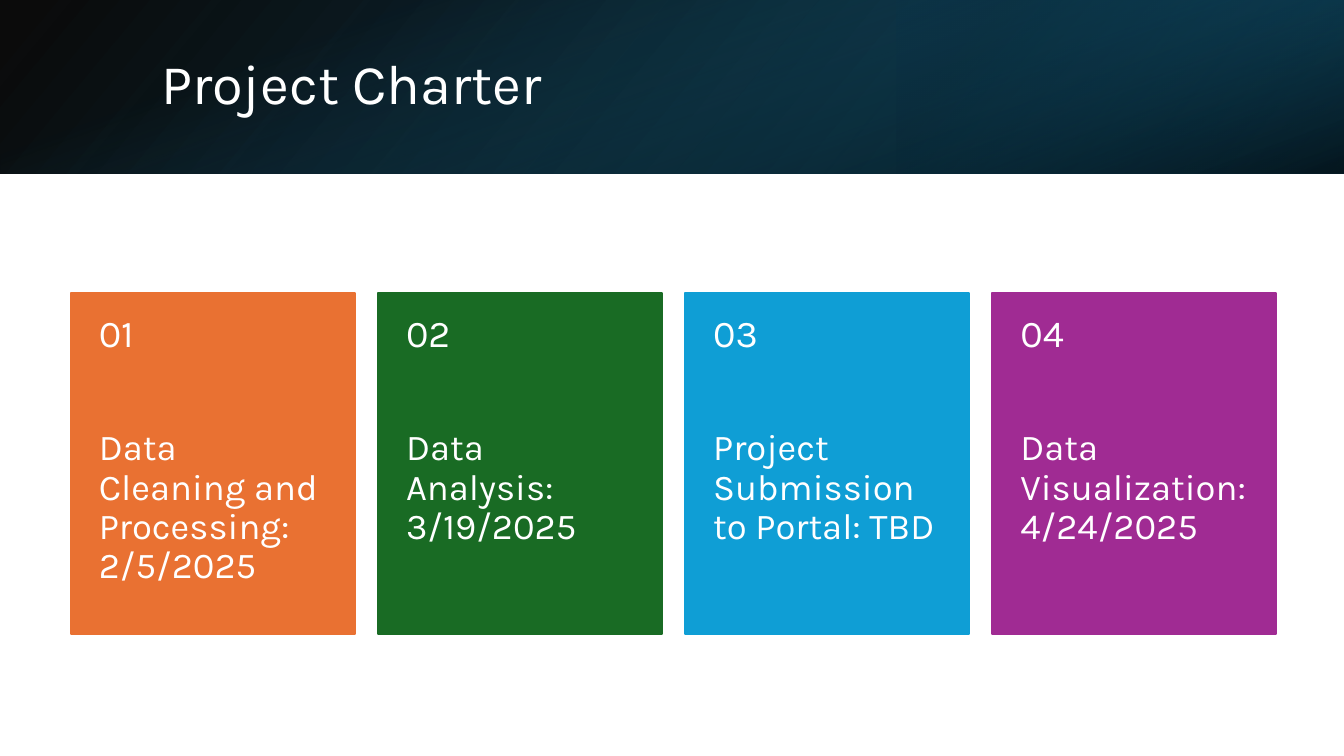
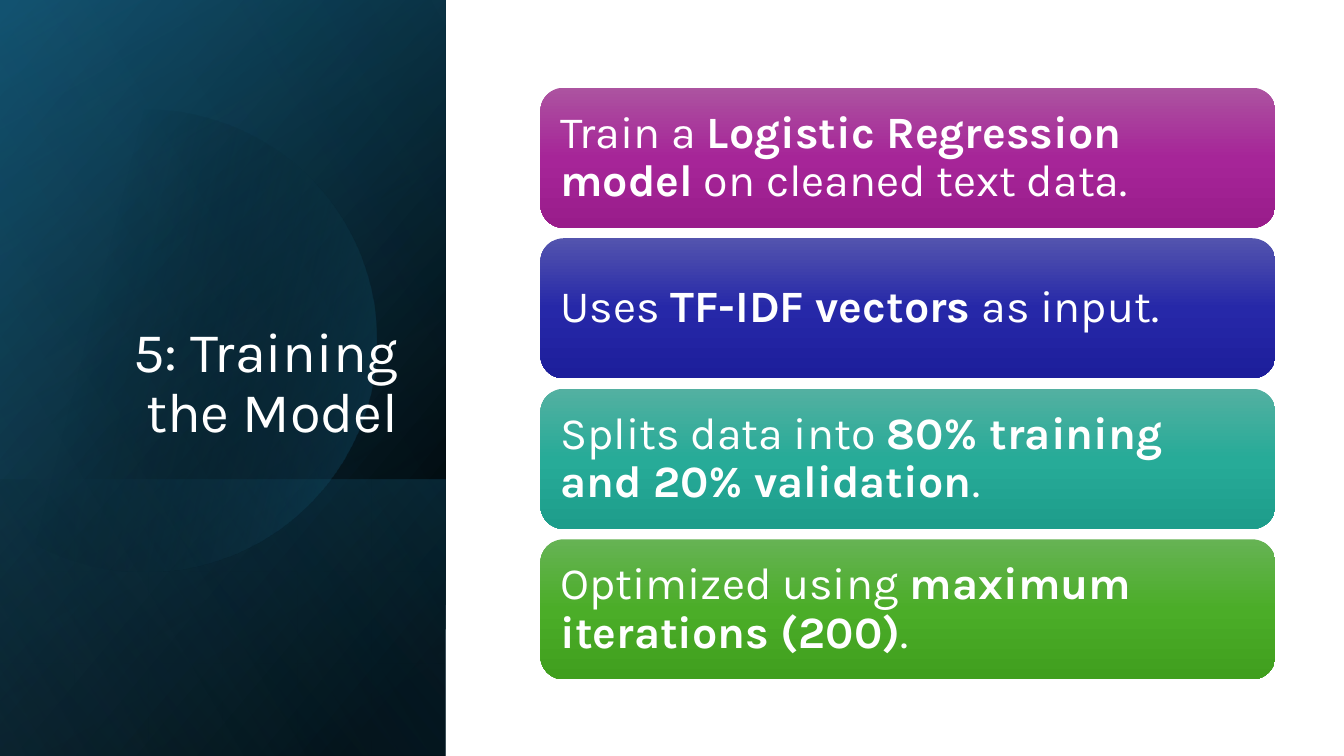
from math import acos, cos, sin

from pptx import Presentation
from pptx.dml.color import RGBColor
from pptx.enum.shapes import MSO_SHAPE
from pptx.enum.text import MSO_ANCHOR, PP_ALIGN
from pptx.oxml import parse_xml
from pptx.oxml.ns import nsdecls, qn
from pptx.util import Inches, Pt

RECT, ROUND = MSO_SHAPE.RECTANGLE, MSO_SHAPE.ROUNDED_RECTANGLE
TOP, MIDDLE, BOTTOM = MSO_ANCHOR.TOP, MSO_ANCHOR.MIDDLE, MSO_ANCHOR.BOTTOM
LEFT, RIGHT = PP_ALIGN.LEFT, PP_ALIGN.RIGHT

WIDE, HIGH = 13.33, 7.5
BAND = 1.72
SIDE = 4.42
FONT = "Karla"
COLORS = {
    "white": "FFFFFF", "black": "000000", "navy": "104862",
    "teal": "156082", "deep": "0B3041", "sky": "46B1E1",
    "orange": "E97132", "green": "196B24", "blue": "0F9ED5",
    "purple": "A02B93",
}
TITLE = {"size": Pt(40), "name": FONT}
LABEL = {"size": Pt(27), "name": FONT}
BODY = {"size": Pt(26), "name": FONT}
POINT = {"size": Pt(32), "name": FONT}

HEAD = [
    ((0, 0, WIDE, BAND), 0, True, 140,
     [(0, "black", 96), (100, "navy", 100)]),
    ((8.89, 0, 4.44, BAND), 180, True, 320,
     [(19, "deep", 68), (100, "teal", 79)]),
    ((0, 0, WIDE, BAND), 90, False, 340,
     [(23, "teal", 0), (99, "black", 74)]),
]
PANEL = (0, 0, SIDE, HIGH)
BACK = [
    (PANEL, 90, True, 50, [(8, "black", 100), (100, "navy", 100)]),
    (PANEL, 90, True, 30, [(0, "black", 0), (99, "teal", 46)]),
    ((0, 4.76, SIDE, 2.74), 90, True, 130,
     [(2, "teal", 29), (100, "black", 30)]),
]
GLOW = (PANEL, 90, True, 120, [(0, "black", 0), (99, "sky", 11)])

CARDS = [
    ("orange", "Data Cleaning and Processing: 2/5/2025"),
    ("green", "Data Analysis: 3/19/2025"),
    ("blue", "Project Submission to Portal: TBD"),
    ("purple", "Data Visualization: 4/24/2025"),
]
BARS = [
    (("AC53A0", "A62598", "991C8B"),
     ("Train a ", "Logistic Regression model", " on cleaned text data.")),
    (("5354AE", "2628A8", "1D1E9B"),
     ("Uses ", "TF-IDF vectors", " as input.")),
    (("53B0A1", "27AB98", "1D9D8B"),
     ("Splits data into ", "80% training and 20% validation", ".")),
    (("66B354", "4BAD28", "409F1E"),
     ("Optimized using ", "maximum iterations (200)", ".")),
]


def color(name):
    return RGBColor.from_string(COLORS[name])


def place(box):
    return [Inches(n) for n in box]


def blend(shape, stops, angle):
    marks = "".join(
        f'<a:gs pos="{pos * 1000}"><a:srgbClr val="{COLORS.get(tone, tone)}">'
        f'<a:alpha val="{alpha * 1000}"/></a:srgbClr></a:gs>'
        for pos, tone, alpha in stops)
    grad = parse_xml(
        f'<a:gradFill {nsdecls("a")} rotWithShape="1"><a:gsLst>{marks}</a:gsLst>'
        f'<a:lin ang="{angle * 60000}" scaled="0"/></a:gradFill>')
    shape.shadow.inherit = False
    shape.fill.background()
    props = shape.element.spPr
    props.replace(props.find(qn("a:noFill")), grad)
    shape.line.fill.background()


def add_layer(slide, box, turn, flip, angle, stops):
    left, top, width, height = box
    if turn == 90:
        left += (width - height) / 2
        top += (height - width) / 2
        width, height = height, width
    shape = slide.shapes.add_shape(RECT, *place((left, top, width, height)))
    shape.rotation = turn
    if flip:
        shape.element.spPr.xfrm.set("flipH", "1")
    blend(shape, stops, angle)


def add_disc(slide, mid_x, mid_y, radius, steps=90):
    edge = acos(-mid_x / radius)
    turns = [edge * (2 * i / steps - 1) for i in range(steps + 1)]
    dots = [(Inches(mid_x + radius * cos(t)), Inches(mid_y + radius * sin(t)))
            for t in turns]
    build = slide.shapes.build_freeform(*dots[0])
    build.add_line_segments(dots[1:], close=True)
    blend(build.convert_to_shape(), [(29, "black", 0), (100, "teal", 43)], 14)


def write(shape, runs, style, anchor=MIDDLE, align=LEFT,
          inset=(0.1, 0.05, 0.1, 0.05)):
    frame = shape.text_frame
    sides = zip(("left", "top", "right", "bottom"), inset)
    form = {f"margin_{side}": Inches(gap) for side, gap in sides}
    form.update(word_wrap=True, vertical_anchor=anchor)
    for key, value in form.items():
        setattr(frame, key, value)
    para = frame.paragraphs[0]
    para.alignment, para.line_spacing = align, 0.9
    for i, text in enumerate(runs):
        run = para.add_run()
        run.text = text
        for key, value in {**style, "bold": i % 2 == 1}.items():
            setattr(run.font, key, value)
        run.font.color.rgb = color("white")


def add_text(slide, box, text, style, **form):
    write(slide.shapes.add_textbox(*place(box)), [text], style, **form)


def add_card(slide, left, index, tone, text):
    top, width, height, split = 2.91, 2.82, 3.38, 1.35
    card = slide.shapes.add_shape(RECT, *place((left, top, width, height)))
    card.shadow.inherit = False
    card.fill.solid()
    card.fill.fore_color.rgb = card.line.color.rgb = color(tone)
    card.line.width = Pt(1.5)
    write(card, [text], BODY, anchor=TOP, inset=(0.28, split, 0.28, 0.36))
    add_text(slide, (left, top, width, split), f"{index:02}", LABEL,
             anchor=TOP, inset=(0.28, 0.21, 0.28, 0.18))


def add_bar(slide, top, tones, runs):
    bar = slide.shapes.add_shape(ROUND, *place((5.36, top, 7.29, 1.39)))
    blend(bar, [(50 * i, tone, 100) for i, tone in enumerate(tones)], 90)
    write(bar, runs, POINT, inset=(0.13,) * 4)


def add_charter(slide):
    for layer in HEAD:
        add_layer(slide, *layer)
    add_text(slide, (1.5, 0.38, 10.98, 0.96), "Project Charter", TITLE)
    first, last = 0.7, 9.84
    step = (last - first) / (len(CARDS) - 1)
    for i, (tone, text) in enumerate(CARDS):
        add_card(slide, first + i * step, i + 1, tone, text)


def add_training(slide):
    for layer in BACK:
        add_layer(slide, *layer)
    add_disc(slide, 1.44, 3.38, 2.29)
    add_layer(slide, *GLOW)
    add_text(slide, (0.64, 1.84, 3.41, 2.62), "5: Training the Model", TITLE,
             anchor=BOTTOM, align=RIGHT)
    first, last = 0.87, 5.35
    step = (last - first) / (len(BARS) - 1)
    for i, (tones, runs) in enumerate(BARS):
        add_bar(slide, first + i * step, tones, runs)


def main():
    deck = Presentation()
    deck.slide_width, deck.slide_height = Inches(WIDE), Inches(HIGH)
    for fill in (add_charter, add_training):
        fill(deck.slides.add_slide(deck.slide_layouts[6]))
    deck.save("out.pptx")


if __name__ == "__main__":
    main()
